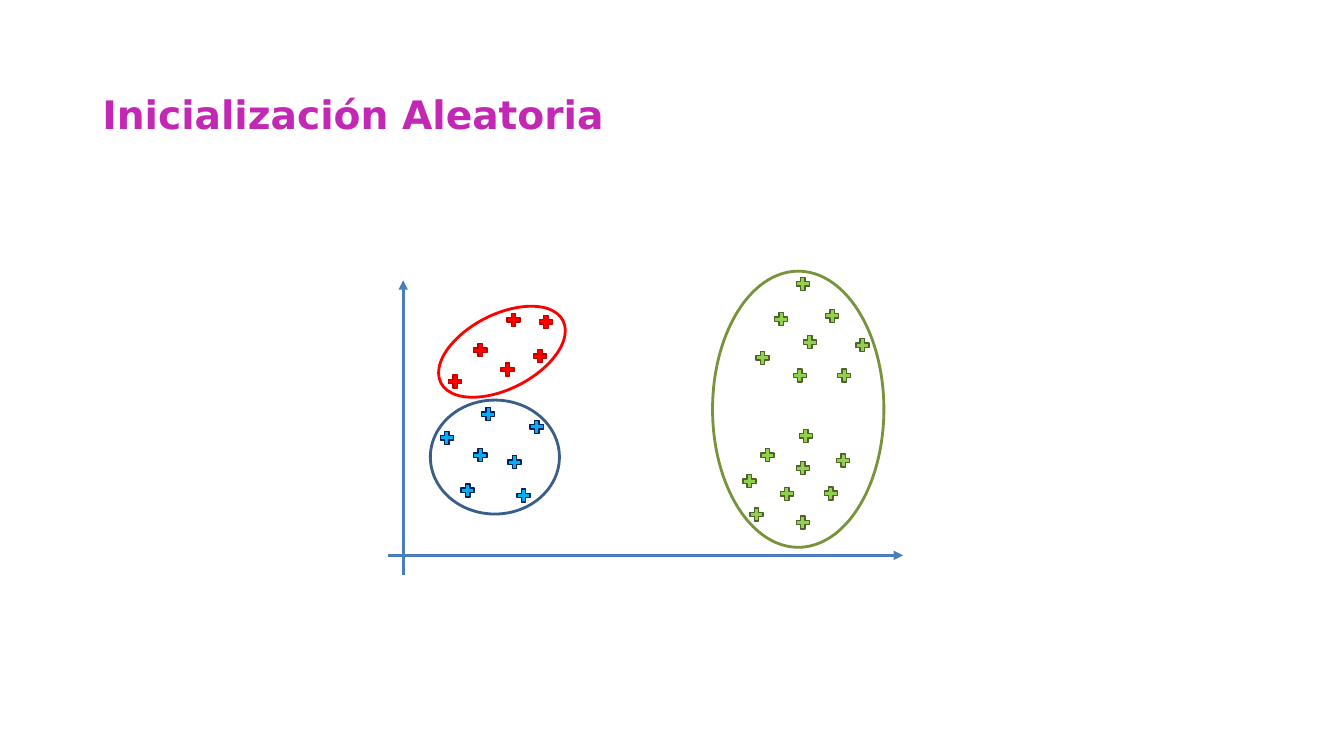
from dataclasses import dataclass

from lxml.etree import SubElement
from pptx import Presentation
from pptx.dml.color import RGBColor
from pptx.enum.shapes import MSO_CONNECTOR as CONNECTOR, MSO_SHAPE as SHAPE
from pptx.enum.text import MSO_ANCHOR as ANCHOR
from pptx.oxml.ns import qn
from pptx.util import Pt


@dataclass(frozen=True)
class Theme:
    font: str = "DejaVu Sans"
    title_size: int = 28
    title: str = "C228B4"
    axis: str = "4A7EBB"
    blue: tuple = ("00B0F0", "002060", "3A5E8A")  # marker fill, marker line, outline
    red: tuple = ("FF0000", "C00000", "FF0000")
    green: tuple = ("92D050", "4F6228", "77933C")


theme = Theme()
MARKER_SIZE = 9.3

# Marker centres and, for each outline, (left, top, width, height) and rotation
clusters = [
    (theme.blue, (307.4, 285.8, 92.2, 81.4), 0, [
        (383.4, 304.9), (343.1, 325.1), (374, 353.9), (334.1, 350.3),
        (319.3, 312.8), (348.8, 295.9), (367.6, 330.1),
    ]),
    (theme.red, (309.6, 224.6, 97.9, 53.3), 333, [
        (325.1, 272.5), (362.5, 263.9), (343.1, 250.2),
        (385.6, 254.5), (389.9, 230), (366.8, 228.6),
    ]),
    (theme.green, (509, 193.7, 122.4, 197.3), 0, [
        (573.5, 202.7), (594.4, 225.7), (558, 227.9), (578.5, 244.4),
        (616, 246.6), (571.3, 268.2), (603, 268.2), (544.7, 255.6),
        (535.3, 343.8), (548.3, 325.1), (562, 352.8), (540.4, 367.6),
        (573.5, 373.3), (593.6, 352.4), (573.5, 334.4), (602.3, 329),
        (575.6, 311.4),
    ]),
]


def add_outlined_shape(kind, box, line_color, line_width, fill_color=None):
    shape = slide.shapes.add_shape(kind, *map(Pt, box))
    shape.shadow.inherit = False
    if fill_color:
        shape.fill.solid()
        shape.fill.fore_color.rgb = RGBColor.from_string(fill_color)
    else:
        shape.fill.background()
    shape.line.color.rgb = RGBColor.from_string(line_color)
    shape.line.width = Pt(line_width)
    return shape


presentation = Presentation()
presentation.slide_width, presentation.slide_height = Pt(960), Pt(540)
slide = presentation.slides.add_slide(presentation.slide_layouts[6])

# Title
title_box = slide.shapes.add_textbox(Pt(66), Pt(51), Pt(828), Pt(65.5))
title_frame = title_box.text_frame
title_frame.word_wrap = True
title_frame.vertical_anchor = ANCHOR.MIDDLE
paragraph = title_frame.paragraphs[0]
paragraph.line_spacing = 0.9
run = paragraph.add_run()
run.text = "Inicialización Aleatoria"
run.font.name = theme.font
run.font.size = Pt(theme.title_size)
run.font.bold = True
run.font.color.rgb = RGBColor.from_string(theme.title)

# Axes
for ends in [(288, 410.4, 288, 200.2), (277.2, 396.7, 645.1, 396.7)]:
    axis = slide.shapes.add_connector(CONNECTOR.STRAIGHT, *map(Pt, ends))
    axis.line.color.rgb = RGBColor.from_string(theme.axis)
    axis.line.width = Pt(2.25)
    SubElement(axis.line._get_or_add_ln(), qn("a:tailEnd"), type="triangle")
    SubElement(axis._element.spPr, qn("a:effectLst"))

# Data points
for (fill_color, line_color, _), _, _, centers in clusters:
    for x, y in centers:
        box = (x - MARKER_SIZE / 2, y - MARKER_SIZE / 2, MARKER_SIZE, MARKER_SIZE)
        marker = add_outlined_shape(SHAPE.CROSS, box, line_color, 1, fill_color)
        marker.adjustments[0] = 0.33

# Cluster outlines
for (_, _, outline_color), box, rotation, _ in clusters:
    outline = add_outlined_shape(SHAPE.OVAL, box, outline_color, 2)
    outline.rotation = rotation

presentation.save("out.pptx")
